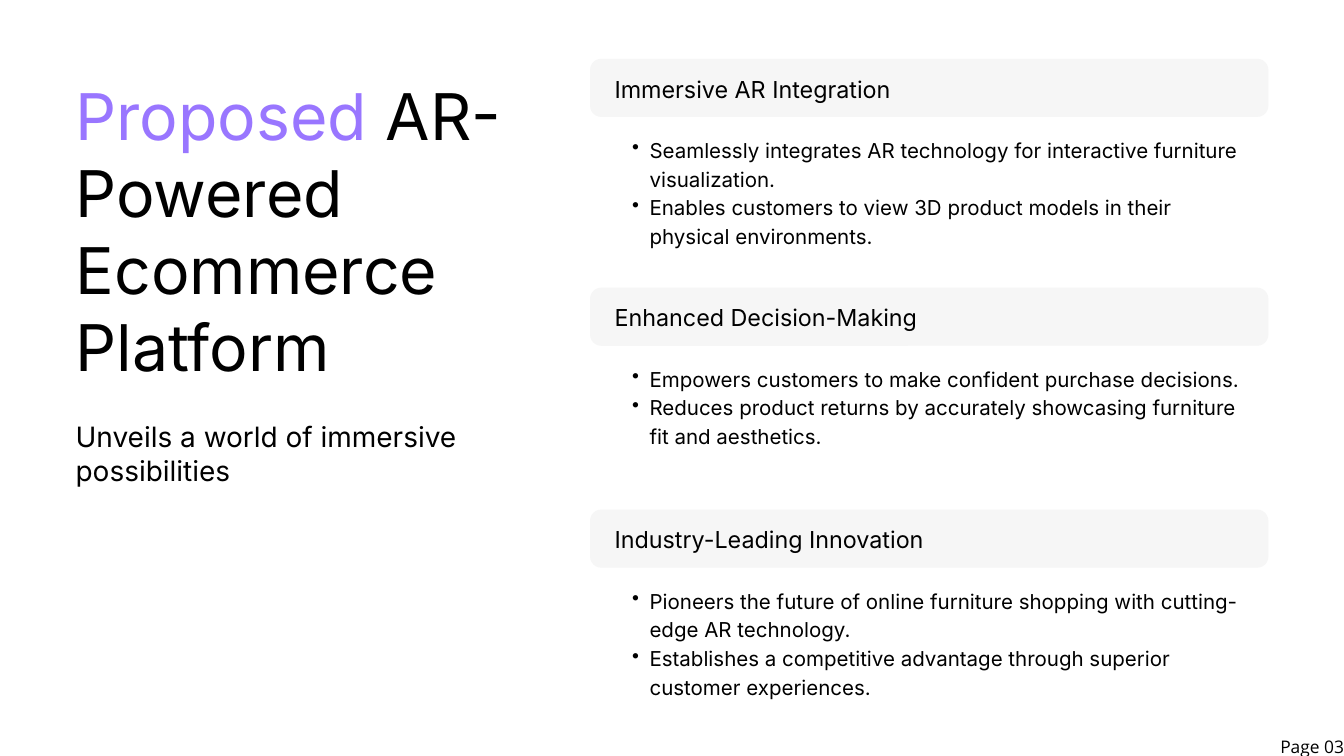
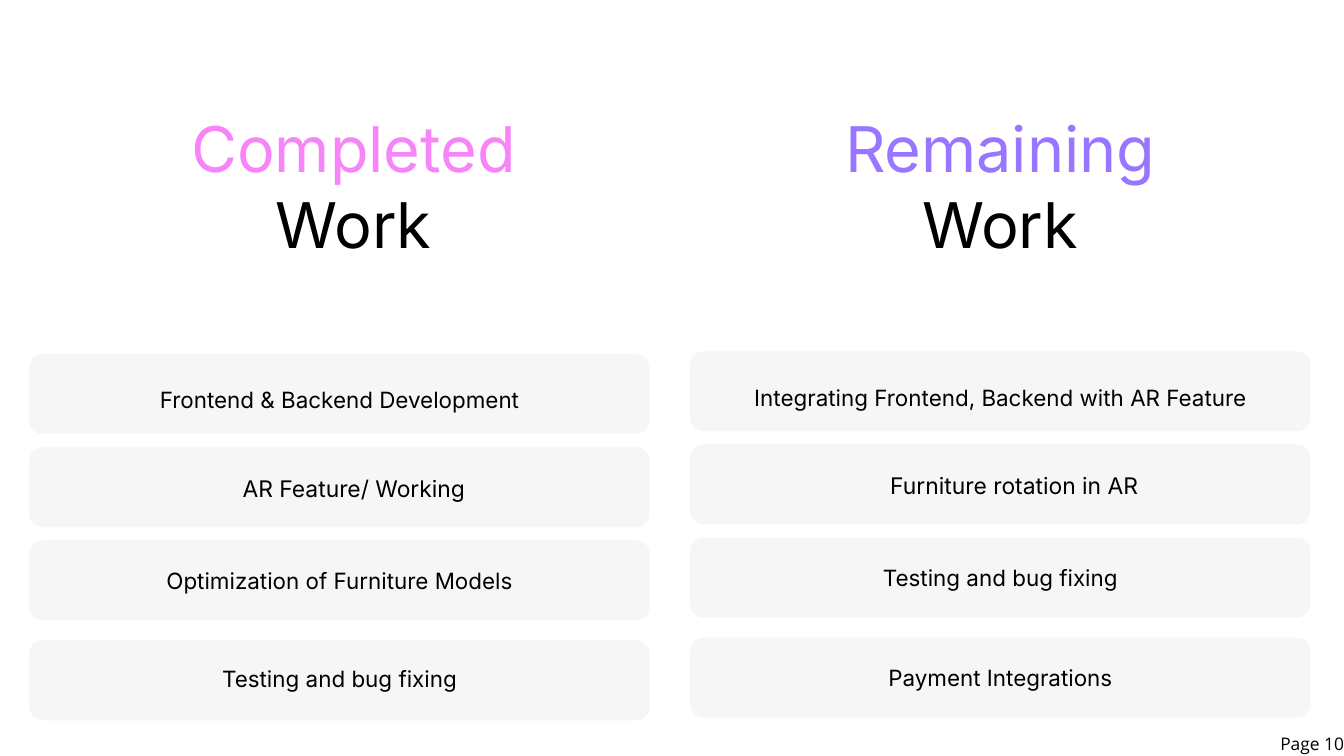
from dataclasses import dataclass

from lxml import etree
from pptx import Presentation
from pptx.dml.color import RGBColor
from pptx.enum.shapes import MSO_SHAPE
from pptx.enum.text import MSO_ANCHOR, MSO_AUTO_SIZE, PP_ALIGN
from pptx.oxml.ns import qn
from pptx.util import Pt

LEFT, CENTER, RIGHT = PP_ALIGN.LEFT, PP_ALIGN.CENTER, PP_ALIGN.RIGHT
TOP, MIDDLE = MSO_ANCHOR.TOP, MSO_ANCHOR.MIDDLE
FIXED_SIZE = MSO_AUTO_SIZE.NONE
ROUNDED = MSO_SHAPE.ROUNDED_RECTANGLE
EMU_PER_PX = 9525
TITLE_ONLY = 5


@dataclass(frozen=True)
class TextStyle:
    size: float
    line: float
    align: PP_ALIGN = LEFT
    font: str = "Inter"


@dataclass(frozen=True)
class Theme:
    ink: str = "000000"
    violet: str = "9976FF"
    pink: str = "F884FA"
    band: str = "F1F1F1"
    band_opacity: int = 64
    title: TextStyle = TextStyle(69, 82.8)
    column_title: TextStyle = TextStyle(67.5, 81.6, CENTER)
    subtitle: TextStyle = TextStyle(30, 36)
    heading: TextStyle = TextStyle(25, 35)
    bullet: TextStyle = TextStyle(22, 30.8)
    task: TextStyle = TextStyle(24, 33.6, CENTER)
    loose_task: TextStyle = TextStyle(24, None, CENTER)
    task_label: TextStyle = TextStyle(24.5, 35, CENTER)
    page: TextStyle = TextStyle(18.6, 26.1, RIGHT, "Open Sans")


THEME = Theme()

# Content: a paragraph is a list of (text, colour) runs
PLATFORM_TITLE = [
    [("Proposed", THEME.violet), (" AR-Powered", THEME.ink)],
    [("Ecommerce Platform", THEME.ink)],
]
PLATFORM_SUBTITLE = "Unveils a world of immersive possibilities"
BENEFITS = [
    (84, "Immersive AR Integration", [
        "Seamlessly integrates AR technology for interactive furniture visualization.",
        "Enables customers to view 3D product models in their physical environments.",
    ]),
    (411, "Enhanced Decision-Making", [
        "Empowers customers to make confident purchase decisions.",
        "Reduces product returns by accurately showcasing furniture fit and aesthetics.",
    ]),
    (728, "Industry-Leading Innovation", [
        "Pioneers the future of online furniture shopping with cutting-edge AR technology.",
        "Establishes a competitive advantage through superior customer experiences.",
    ]),
]
WORK_COLUMNS = [
    {
        "title": "Completed", "colour": THEME.pink,
        "title_box": (140, 155, 730, 216), "left": 42, "top": 506,
        "rows": [("Frontend & Backend Development", THEME.task),
                 ("", THEME.task),
                 ("Optimization of Furniture Models", THEME.task),
                 ("Testing and bug fixing", THEME.loose_task)],
        "label": "AR Feature/ Working", "label_box": (108, 671, 795, 44),
    },
    {
        "title": "Remaining", "colour": THEME.violet,
        "title_box": (1064, 155, 730, 216), "left": 986, "top": 502,
        "rows": [("Integrating Frontend, Backend with AR Feature", THEME.task),
                 ("", THEME.task),
                 ("Testing and bug fixing", THEME.task),
                 ("Payment Integrations", THEME.task)],
        "label": "Furniture rotation in AR", "label_box": (1076, 667, 746, 44),
    },
]

# Layout, in px
SLIDE_SIZE = (1920, 1080)
TITLE_BOX = (108, 108, 618, 440)
SUBTITLE_BOX = (108, 600, 618, 94)
BAR_LEFT, BAR_WIDTH, BAR_HEIGHT, BAR_RADIUS = 843, 969, 83, 16
BENEFIT_LEFT, BENEFIT_WIDTH = 878, 899
BULLET_MARGIN, BULLET_HANG = 50, 25
CARD_WIDTH, CARD_HEIGHT, CARD_RADIUS = 886, 114, 19
CARD_OFFSETS = (0, 133, 266, 409)
ROW_HEIGHTS = (129, 129, 129, 156)
CELL_INSET = 20


def px(value):
    return round(value * EMU_PER_PX)


def px_box(box):
    return [px(value) for value in box]


def apply(target, values):
    for name, value in values.items():
        setattr(target, name, value)


def colored(text, colour=THEME.ink):
    return [(text, colour)]


def add_bullet(paragraph):
    paragraph.level = 1
    properties = paragraph._p.get_or_add_pPr()
    properties.set("marL", str(px(BULLET_MARGIN)))
    properties.set("indent", str(-px(BULLET_HANG)))
    etree.SubElement(properties, qn("a:buChar")).set("char", "•")


def write(frame, paragraphs, style, bulleted=False):
    for index, runs in enumerate(paragraphs):
        paragraph = frame.add_paragraph() if index else frame.paragraphs[0]
        if bulleted:
            add_bullet(paragraph)
        paragraph.alignment = style.align
        if style.line:
            paragraph.line_spacing = Pt(style.line)
        for text, colour in runs:
            run = paragraph.add_run()
            run.text = text
            apply(run.font, {"name": style.font, "size": Pt(style.size)})
            run.font.color.rgb = RGBColor.from_string(colour)


def fill_text_shape(shape, paragraphs, style, bulleted=False):
    frame = shape.text_frame
    apply(frame, {
        "word_wrap": True, "auto_size": FIXED_SIZE, "vertical_anchor": TOP,
        "margin_left": 0, "margin_top": 0, "margin_right": 0, "margin_bottom": 0,
    })
    write(frame, paragraphs, style, bulleted)


def add_text(slide, box, paragraphs, style, bulleted=False):
    shape = slide.shapes.add_textbox(*px_box(box))
    fill_text_shape(shape, paragraphs, style, bulleted)


def set_title(slide, box, paragraphs, style):
    title = slide.shapes.title
    apply(title, dict(zip(("left", "top", "width", "height"), px_box(box))))
    fill_text_shape(title, paragraphs, style)


def add_band(slide, box, radius):
    band = slide.shapes.add_shape(ROUNDED, *px_box(box))
    band.adjustments[0] = radius / box[3]
    band.shadow.inherit = False
    band.line.fill.background()
    band.fill.solid()
    band.fill.fore_color.rgb = RGBColor.from_string(THEME.band)
    color = band._element.spPr.find(qn("a:solidFill"))[0]
    etree.SubElement(color, qn("a:alpha")).set("val", str(THEME.band_opacity * 1000))


def add_page_number(slide, number, top):
    add_text(slide, (1815, top, 105, 33), [colored(f"Page {number:02d}")], THEME.page)


def clear_borders(cell):
    properties = cell._tc.get_or_add_tcPr()
    for index, side in enumerate(("lnL", "lnR", "lnT", "lnB")):
        line = etree.Element(qn(f"a:{side}"), w="0")
        etree.SubElement(line, qn("a:noFill"))
        properties.insert(index, line)


def add_task_table(slide, left, top, rows):
    box = (left, top, CARD_WIDTH, sum(ROW_HEIGHTS))
    table = slide.shapes.add_table(len(rows), 1, *px_box(box)).table
    apply(table, {"first_row": False, "horz_banding": False})
    for index, (text, style) in enumerate(rows):
        table.rows[index].height = px(ROW_HEIGHTS[index])
        cell = table.cell(index, 0)
        inset = px(CELL_INSET)
        apply(cell, {
            "vertical_anchor": MIDDLE, "margin_left": inset, "margin_top": inset,
            "margin_right": inset, "margin_bottom": inset,
        })
        cell.fill.background()
        clear_borders(cell)
        if text:
            write(cell.text_frame, [colored(text)], style)


def add_slide(presentation):
    return presentation.slides.add_slide(presentation.slide_layouts[TITLE_ONLY])


def build_platform_slide(presentation):
    slide = add_slide(presentation)
    set_title(slide, TITLE_BOX, PLATFORM_TITLE, THEME.title)
    add_text(slide, SUBTITLE_BOX, [colored(PLATFORM_SUBTITLE)], THEME.subtitle)
    for top, heading, bullets in BENEFITS:
        add_band(slide, (BAR_LEFT, top, BAR_WIDTH, BAR_HEIGHT), BAR_RADIUS)
        add_text(slide, (BENEFIT_LEFT, top + 16, BENEFIT_WIDTH, 89),
                 [colored(heading)], THEME.heading)
        add_text(slide, (BENEFIT_LEFT, top + 107, BENEFIT_WIDTH, 161),
                 [colored(bullet) for bullet in bullets], THEME.bullet, bulleted=True)
    add_page_number(slide, 3, 1047)


def build_work_slide(presentation):
    slide = add_slide(presentation)
    for index, column in enumerate(WORK_COLUMNS):
        # Column heading
        place_heading = add_text if index else set_title
        heading = [colored(column["title"], column["colour"]), colored("Work")]
        place_heading(slide, column["title_box"], heading, THEME.column_title)
        # Cards with the task table over them
        left, top = column["left"], column["top"]
        for offset in CARD_OFFSETS:
            add_band(slide, (left, top + offset, CARD_WIDTH, CARD_HEIGHT), CARD_RADIUS)
        add_task_table(slide, left, top - 1, column["rows"])
        add_text(slide, column["label_box"], [colored(column["label"])], THEME.task_label)
    add_page_number(slide, 10, 1042)


def main():
    presentation = Presentation()
    presentation.slide_width, presentation.slide_height = px_box(SLIDE_SIZE)
    build_platform_slide(presentation)
    build_work_slide(presentation)
    presentation.save("out.pptx")


if __name__ == "__main__":
    main()
